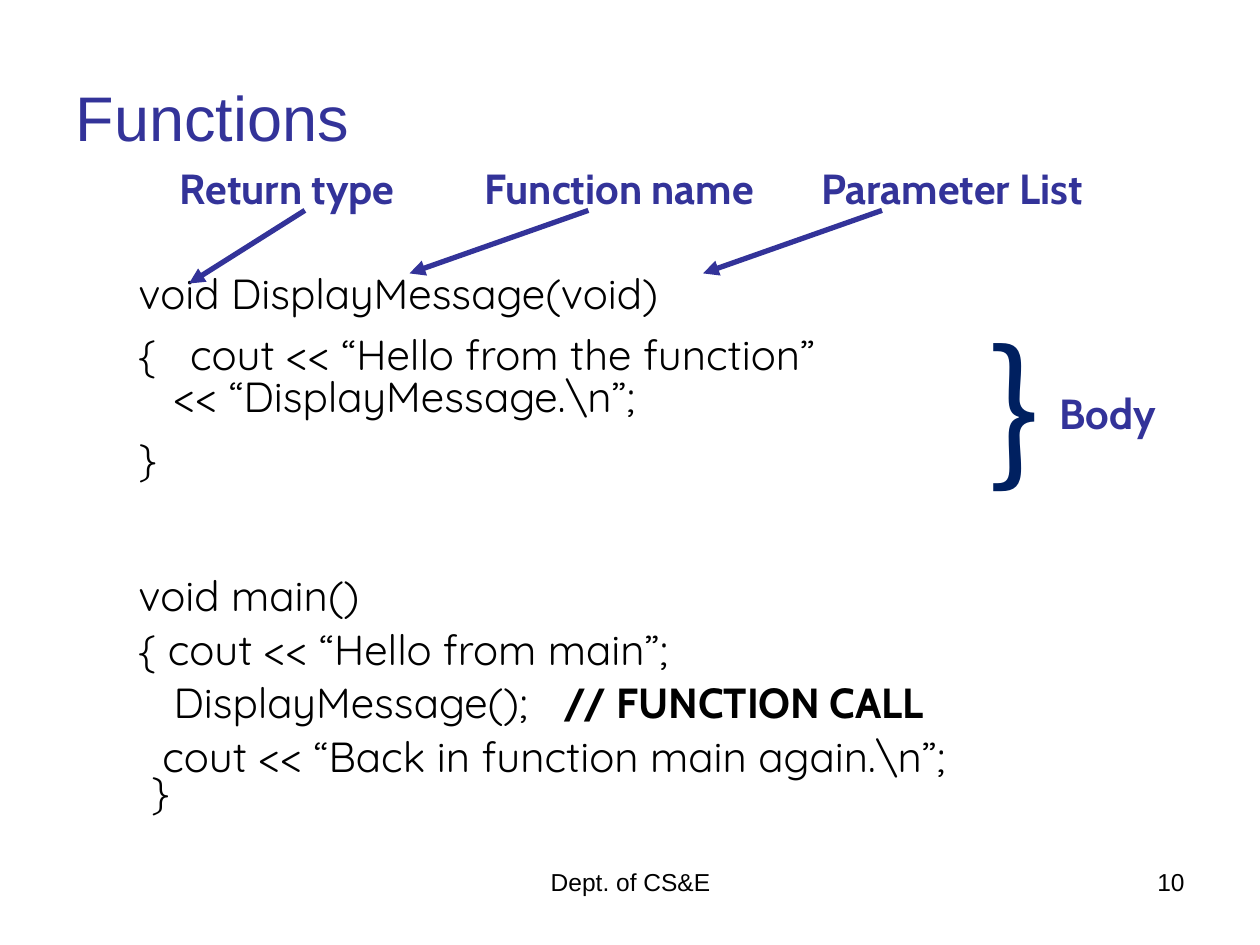
from lxml import etree
from pptx import Presentation
from pptx.dml.color import RGBColor
from pptx.enum.shapes import MSO_CONNECTOR
from pptx.enum.text import MSO_ANCHOR, PP_ALIGN
from pptx.oxml.ns import qn
from pptx.util import Inches, Pt

STRAIGHT = MSO_CONNECTOR.STRAIGHT
MIDDLE = MSO_ANCHOR.MIDDLE
LEFT, CENTER, RIGHT = PP_ALIGN.LEFT, PP_ALIGN.CENTER, PP_ALIGN.RIGHT

INDIGO = RGBColor(0x33, 0x33, 0x99)
NAVY = RGBColor(0x00, 0x20, 0x60)
BLACK = RGBColor(0x00, 0x00, 0x00)

CODE_FONT, LABEL_FONT, PLAIN_FONT = "Quicksand", "Cabin", "Arial"
BRACE_FONT = "Noto Sans CJK JP"
CODE_LEFT = 1
LABEL_TOP = 1.24
ARROW_TOP = 1.67
FOOTER_TOP = 6.83

FUNCTION_CODE = [
    ("void DisplayMessage(void)", 0.75, 10.5, []),
    ("{\tcout << “Hello from the function”", 0.85, 10.5, [0.41]),
    ("\t<< “DisplayMessage.\\n”;", 0.85, 0, [0.28]),
    ("}", 0.85, 10.5, []),
]
MAIN_CODE = [
    ("void main()", 0.7, 10.5, []),
    ("{ cout << “Hello from main”;", 0.7, 10.5, []),
    ("\tDisplayMessage();\t", 0.7, 10.5, [0.28, 3.37]),
    ("\tcout << “Back in function main again.\\n”;", 0.7, 10.5, [0.19]),
    ("\t}", 0.7, 0, [0.1]),
]
CALL_LINE = 2
LABELS = [
    ("Return type", 1.33, LABEL_TOP, 2.58),
    ("Function name", 3.75, LABEL_TOP, 2.58),
    ("Parameter List", 6.42, LABEL_TOP, 2.75),
    ("Body", 8.31, 3.03, 1.11),
]
ARROWS = [(2.42, 1.5, 2.25), (4.67, 3.25, 2.17), (7, 5.58, 2.17)]


def add_text(paragraph, text, *, font=CODE_FONT, size=24, color=BLACK,
             bold=False, align=LEFT, before=0):
    paragraph.alignment = align
    paragraph.space_before = Pt(before)
    run = paragraph.add_run()
    run.text = text
    run.font.name = font
    run.font.size = Pt(size)
    run.font.bold = bold
    run.font.color.rgb = color


def add_box(slide, left, top, width, height):
    shape = slide.shapes.add_textbox(*map(Inches, (left, top, width, height)))
    shape.text_frame.word_wrap = True
    return shape.text_frame


def set_tabs(paragraph, positions):
    properties = paragraph._p.get_or_add_pPr()
    tab_list = etree.SubElement(properties, qn("a:tabLst"))
    for position in positions:
        etree.SubElement(tab_list, qn("a:tab"), pos=str(Inches(position)), algn="l")


def add_code(slide, lines, top, width, height):
    frame = add_box(slide, CODE_LEFT, top, width, height)
    for index, (text, spacing, before, tabs) in enumerate(lines):
        paragraph = frame.add_paragraph() if index else frame.paragraphs[0]
        paragraph.line_spacing = spacing
        add_text(paragraph, text, before=before)
        if tabs:
            set_tabs(paragraph, tabs)
    return frame


def add_arrow(slide, start_x, end_x, end_y):
    points = map(Inches, (start_x, ARROW_TOP, end_x, end_y))
    connector = slide.shapes.add_connector(STRAIGHT, *points)
    connector.line.color.rgb = INDIGO
    connector.line.width = Pt(3)
    etree.SubElement(connector.line._get_or_add_ln(), qn("a:tailEnd"), type="triangle")
    etree.SubElement(connector._element.spPr, qn("a:effectLst"))


def add_title(slide, text):
    title = slide.shapes.title
    title.left, title.top, title.width, title.height = map(Inches, (0.5, 0.3, 9, 1.25))
    title.text_frame.vertical_anchor = MIDDLE
    add_text(title.text_frame.paragraphs[0], text,
             font=PLAIN_FONT, size=36, color=INDIGO)


def add_footer(slide, text, left, width, align):
    frame = add_box(slide, left, FOOTER_TOP, width, 0.52)
    add_text(frame.paragraphs[0], text, font=PLAIN_FONT, size=14, align=align)


def main():
    presentation = Presentation()
    presentation.slide_width, presentation.slide_height = Inches(10), Inches(7.5)
    slide = presentation.slides.add_slide(presentation.slide_layouts[5])

    add_title(slide, "Functions")
    add_code(slide, FUNCTION_CODE, 2.17, 7.42, 1.71)
    main_frame = add_code(slide, MAIN_CODE, 4.58, 8.42, 1.94)
    add_text(main_frame.paragraphs[CALL_LINE], "// FUNCTION CALL",
             font=LABEL_FONT, bold=True, before=10.5)

    for text, left, top, width in LABELS:
        frame = add_box(slide, left, top, width, 0.5)
        add_text(frame.paragraphs[0], text, font=LABEL_FONT, color=INDIGO,
                 bold=True, before=15)
    for arrow in ARROWS:
        add_arrow(slide, *arrow)

    brace_frame = add_box(slide, 7.75, 2.42, 0.92, 1.57)
    add_text(brace_frame.paragraphs[0], "}", font=BRACE_FONT, size=88, color=NAVY)

    add_footer(slide, "Dept. of CS&E", 3.42, 3.17, CENTER)
    add_footer(slide, "10", 7.17, 2.33, RIGHT)
    presentation.save("out.pptx")


if __name__ == "__main__":
    main()
